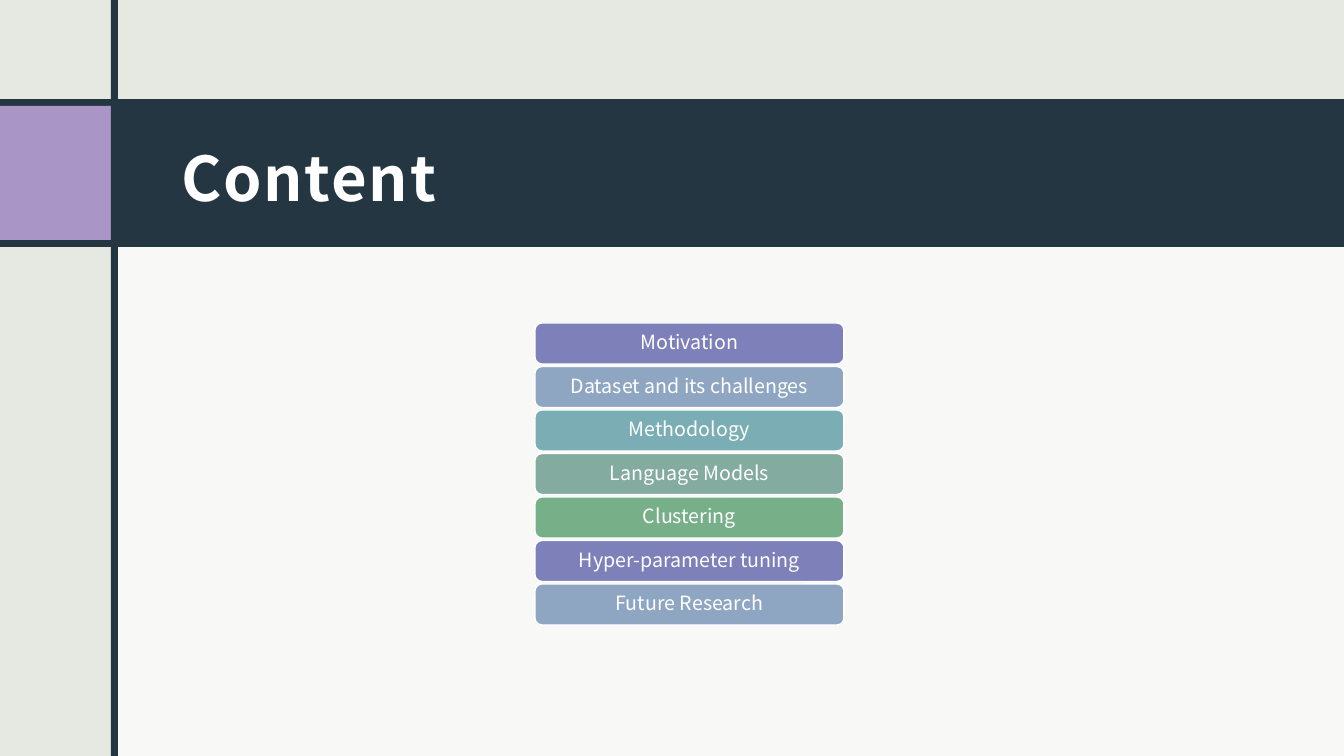
from lxml import etree
from pptx import Presentation
from pptx import util as u
from pptx.dml.color import RGBColor
from pptx.enum import shapes, text
from pptx.oxml.ns import qn

# Content
TITLE = "Content"
TOPICS = [
    "Motivation",
    "Dataset and its challenges",
    "Methodology",
    "Language Models",
    "Clustering",
    "Hyper-parameter tuning",
    "Future Research",
]
TOPIC_COLORS = ["7D80B9", "8FA6C2", "7BADB5", "83ABA0", "77AF88"]
FONT = "Noto Sans CJK SC"
WHITE, NAVY, SAGE, LILAC = "FFFFFF", "243641", "E6E8E2", "A996C6"

# Layout in px
WIDTH, HEIGHT = 1344, 756
PANEL = (115, 235, 1229, 521)
BAND = (0, 99, 1344, 148)
ACCENT = (0, 106, 111, 134)
RULE = (111, 0, 7, 756)
TITLE_BOX = (169, 115, 1104, 114)
TOPIC_LEFT, TOPIC_WIDTH, TOPIC_HEIGHT = 535, 309, 41
FIRST_TOP, LAST_TOP = 323, 584


def px(length):
    return u.Emu(round(length * 914400 / 100.8))


def color(value):
    return RGBColor.from_string(value)


def add_block(slide, box, fill, kind=shapes.MSO_SHAPE.RECTANGLE):
    shape = slide.shapes.add_shape(kind, *map(px, box))
    shape.shadow.inherit = False
    shape.fill.solid()
    shape.fill.fore_color.rgb = color(fill)
    shape.line.fill.background()
    return shape


def set_text(shape, words, size, spacing, align, insets):
    frame = shape.text_frame
    frame.word_wrap = True
    frame.vertical_anchor = text.MSO_ANCHOR.MIDDLE
    (frame.margin_left, frame.margin_top,
     frame.margin_right, frame.margin_bottom) = map(px, insets)
    paragraph = frame.paragraphs[0]
    paragraph.text = words
    paragraph.alignment = align
    paragraph.line_spacing = spacing
    paragraph.font.name = FONT
    paragraph.font.size = u.Pt(size)
    paragraph.font.color.rgb = color(WHITE)
    return paragraph


def main():
    presentation = Presentation()
    presentation.slide_width, presentation.slide_height = px(WIDTH), px(HEIGHT)
    slide = presentation.slides.add_slide(presentation.slide_layouts[6])
    slide.background.fill.solid()
    slide.background.fill.fore_color.rgb = color(SAGE)

    # Translucent content panel
    panel = add_block(slide, PANEL, WHITE)
    panel_color = panel.fill._xPr.find(qn("a:solidFill"))[0]
    etree.SubElement(panel_color, qn("a:alpha")).set("val", "75000")

    # Title band, accent and vertical rule
    for box, fill in ((BAND, NAVY), (ACCENT, LILAC), (RULE, NAVY)):
        add_block(slide, box, fill)

    # Title
    title = slide.shapes.add_textbox(*map(px, TITLE_BOX))
    paragraph = set_text(title, TITLE, 44, 1.1, text.PP_ALIGN.LEFT, (12, 12, 12, 10))
    paragraph.font.bold = True
    paragraph.runs[0].font._rPr.set("spc", "130")

    # Topic bars, evenly spaced, colours cycling
    step = (LAST_TOP - FIRST_TOP) / (len(TOPICS) - 1)
    for index, topic in enumerate(TOPICS):
        box = (TOPIC_LEFT, FIRST_TOP + index * step, TOPIC_WIDTH, TOPIC_HEIGHT)
        fill = TOPIC_COLORS[index % len(TOPIC_COLORS)]
        bar = add_block(slide, box, fill, shapes.MSO_SHAPE.ROUNDED_RECTANGLE)
        bar.adjustments[0] = 0.17
        bar.line.color.rgb = color(WHITE)
        bar.line.width = u.Pt(1)
        set_text(bar, topic, 14, 0.9, text.PP_ALIGN.CENTER, (8, 5, 8, 5))

    presentation.save("out.pptx")


if __name__ == "__main__":
    main()
